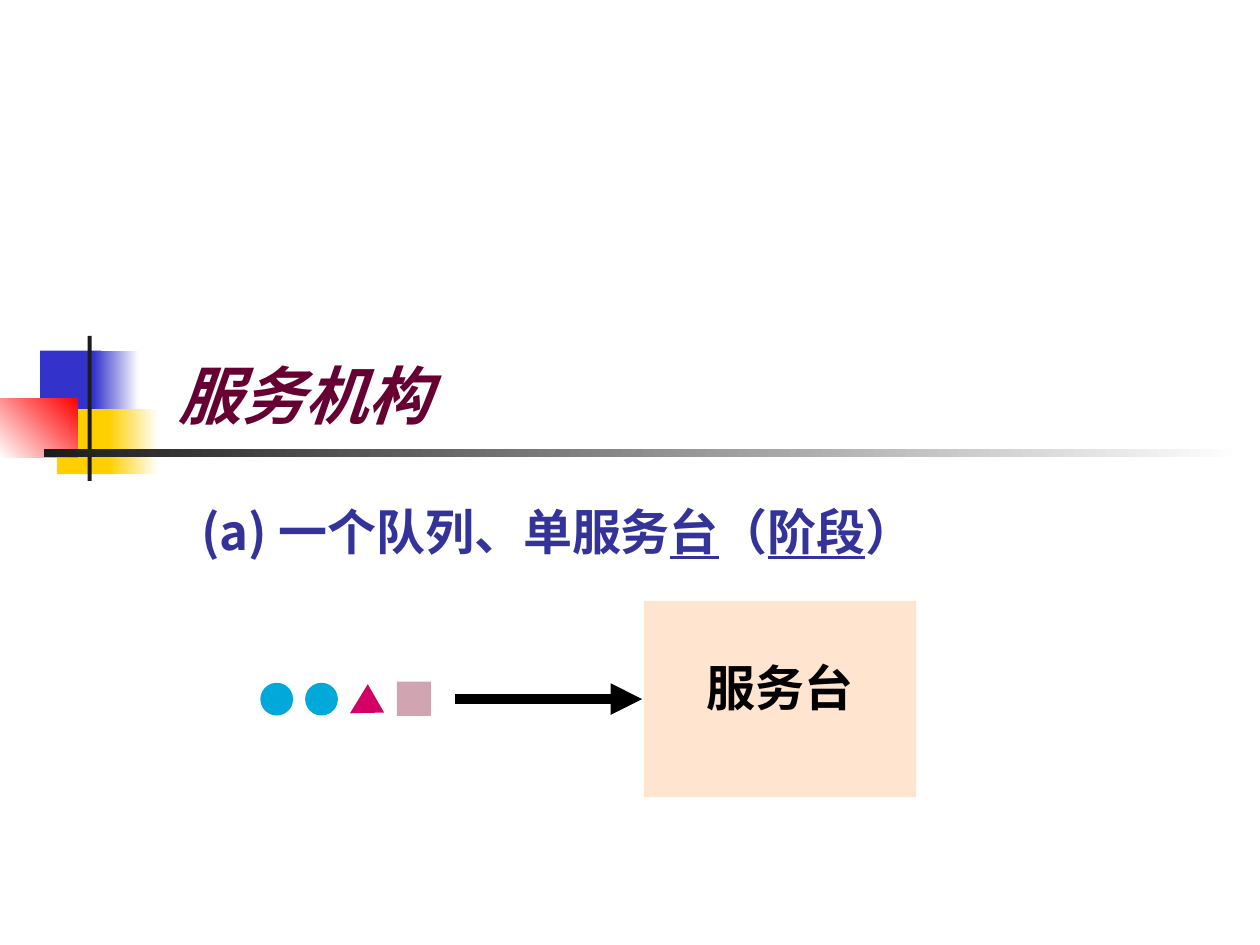
"""Build the service mechanism slide: one queue and a single server."""
from typing import NamedTuple

from lxml.etree import SubElement
from pptx import Presentation
from pptx.dml.color import RGBColor
from pptx.enum.shapes import MSO_CONNECTOR, MSO_SHAPE
from pptx.enum.text import MSO_ANCHOR, MSO_AUTO_SIZE, PP_ALIGN
from pptx.oxml.ns import qn
from pptx.util import Pt

CJK_FONT = "Noto Sans CJK SC"


class Block(NamedTuple):
    left: float
    top: float
    width: float
    height: float
    color: str
    end_color: str = ""
    angle: float = 0
    kind: MSO_SHAPE = MSO_SHAPE.RECTANGLE


class Piece(NamedTuple):
    text: str
    underline: bool = False


DECORATION = [
    Block(23, 200.4, 34.6, 37.2, "3333CC"),
    Block(53.4, 200.4, 25.8, 37.2, "3333CC", "FFFFFF"),
    Block(32.6, 233.8, 33, 37.2, "FFCF01"),
    Block(62, 233.8, 28.5, 37.2, "FFCF01", "FFFFFF"),
    Block(0, 227.9, 44.6, 33.6, "FFFFFF", "FF0000", 45),
    Block(50, 192, 2.4, 82.8, "1C1C1C"),
    Block(25.2, 256.8, 684.7, 4.6, "1C1C1C", "FFFFFF"),
]
QUEUE_AND_SERVER = [
    Block(148.8, 390.2, 18.7, 18.7, "00A9DA", kind=MSO_SHAPE.OVAL),
    Block(174.4, 390.2, 18.7, 18.7, "00A9DA", kind=MSO_SHAPE.OVAL),
    Block(226.8, 389.6, 19.5, 19.5, "D0A4B1"),
    Block(368, 343.4, 155.6, 112.2, "FFE5D0"),
]
HEADING = [
    Piece("(a) 一个队列、单服务"),
    Piece("台", True),
    Piece("（"),
    Piece("阶段", True),
    Piece("）"),
]


def rgb(color: str) -> RGBColor:
    return RGBColor.from_string(color)


def draw_block(page, block: Block) -> None:
    shape = page.shapes.add_shape(
        block.kind, Pt(block.left), Pt(block.top), Pt(block.width), Pt(block.height)
    )
    shape.shadow.inherit = False
    shape.line.fill.background()
    if block.end_color:
        shape.fill.gradient()
        shape.fill.gradient_angle = block.angle
        for stop, color in zip(shape.fill.gradient_stops, (block.color, block.end_color)):
            stop.color.rgb = rgb(color)
    else:
        shape.fill.solid()
        shape.fill.fore_color.rgb = rgb(block.color)


def draw_triangle(page, points: list[tuple[float, float]], color: str) -> None:
    start, *others = [(Pt(x), Pt(y)) for x, y in points]
    builder = page.shapes.build_freeform(*start)
    builder.add_line_segments(others, close=True)
    shape = builder.convert_to_shape()
    shape.shadow.inherit = False
    shape.line.fill.background()
    shape.fill.solid()
    shape.fill.fore_color.rgb = rgb(color)


def draw_arrow(page, left: float, right: float, y: float, color: str, weight: float) -> None:
    arrow = page.shapes.add_connector(
        MSO_CONNECTOR.STRAIGHT, Pt(left), Pt(y), Pt(right), Pt(y)
    )
    arrow.line.color.rgb = rgb(color)
    arrow.line.width = Pt(weight)
    SubElement(arrow.line._get_or_add_ln(), qn("a:tailEnd"), type="triangle")
    SubElement(arrow._element.spPr, qn("a:effectLst"))


def write_text(
    box, pieces: list[Piece], *, font: str, size: float, color: str,
    italic: bool = False, align: PP_ALIGN = PP_ALIGN.LEFT,
    anchor: MSO_ANCHOR = MSO_ANCHOR.TOP,
    auto_size: MSO_AUTO_SIZE = MSO_AUTO_SIZE.SHAPE_TO_FIT_TEXT,
) -> None:
    frame = box.text_frame
    frame.word_wrap = True
    frame.auto_size = auto_size
    frame.vertical_anchor = anchor
    para = frame.paragraphs[0]
    para.alignment = align
    for piece in pieces:
        span = para.add_run()
        span.text = piece.text
        span.font.name = font
        span.font.size = Pt(size)
        span.font.bold = True
        span.font.italic = italic
        span.font.underline = piece.underline
        span.font.color.rgb = rgb(color)
        SubElement(span.font._element, qn("a:ea"), typeface=CJK_FONT)


def main() -> None:
    deck = Presentation()
    deck.slide_width, deck.slide_height = Pt(720), Pt(540)
    page = deck.slides.add_slide(deck.slide_layouts[5])

    for block in DECORATION:
        draw_block(page, block)

    title = page.shapes.title
    title.left, title.top, title.width, title.height = Pt(95), Pt(193), Pt(255), Pt(64.8)
    write_text(
        title, [Piece("服务机构")], font="Roboto", size=36, color="660033",
        italic=True, anchor=MSO_ANCHOR.MIDDLE, auto_size=MSO_AUTO_SIZE.NONE,
    )

    for block in QUEUE_AND_SERVER:
        draw_block(page, block)
    draw_triangle(page, [(200, 407.6), (210.2, 391), (219.5, 407.2)], "D30066")
    draw_arrow(page, 260, 367, 399.5, "000000", 6)

    server_label = page.shapes.add_textbox(Pt(390.2), Pt(372.2), Pt(111), Pt(41))
    write_text(
        server_label, [Piece("服务台")], font="Arial", size=28, color="000000",
        align=PP_ALIGN.CENTER,
    )
    heading = page.shapes.add_textbox(Pt(108), Pt(283), Pt(467.3), Pt(41))
    write_text(heading, HEADING, font=CJK_FONT, size=28, color="333399")

    deck.save("out.pptx")


if __name__ == "__main__":
    main()
